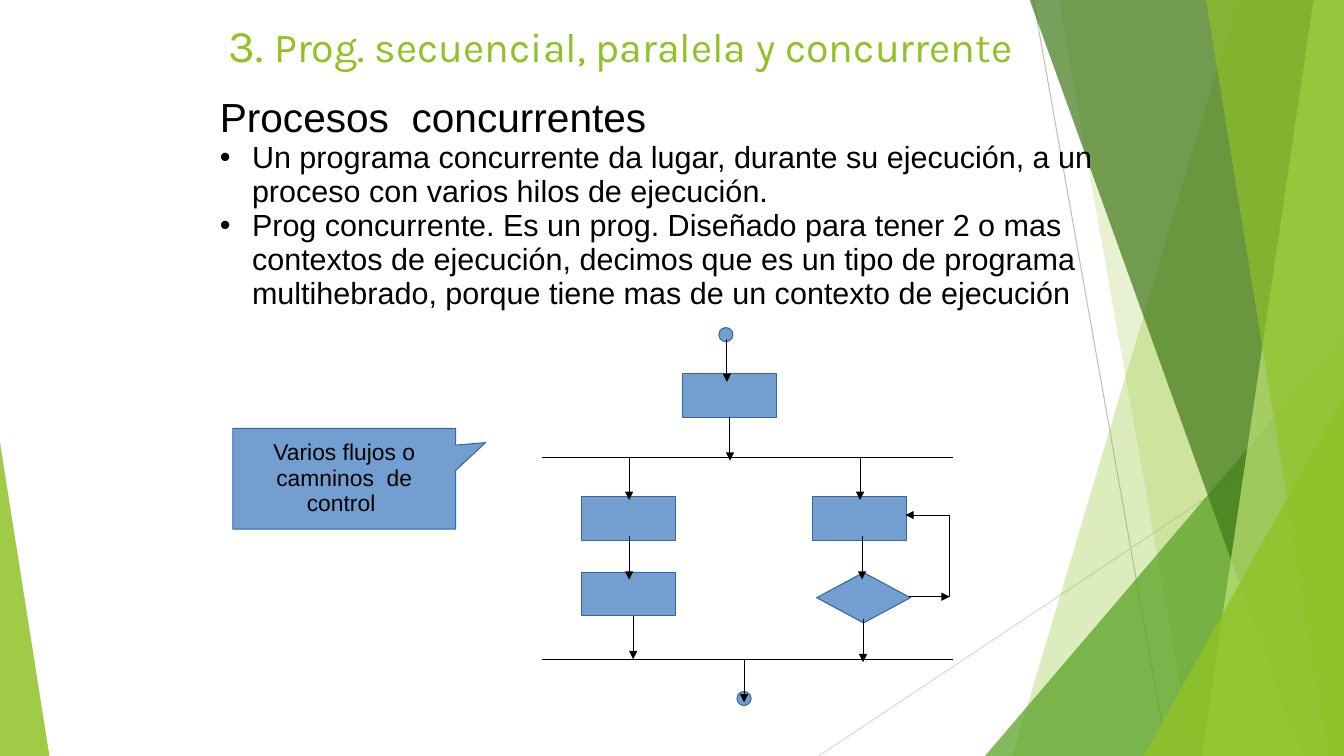
from lxml import etree
from pptx import Presentation
from pptx.dml.color import RGBColor
from pptx.enum.shapes import MSO_CONNECTOR, MSO_SHAPE
from pptx.enum.text import MSO_ANCHOR, PP_ALIGN
from pptx.oxml.ns import qn
from pptx.util import Inches, Pt

COLORS = {
    "lime": "90C226", "green": "54A021", "forest": "3F7819", "pale": "C0E474",
    "node": "729FCF", "node_edge": "3465A4", "black": "000000",
    "gray": "BFBFBF", "light_gray": "D9D9D9",
}
RIGHT, BOTTOM = 13.33, 7.5
NODE_W, NODE_H = 0.93, 0.43
DOT = 0.14
STEP = 0.43


def rgb(color):
    return RGBColor.from_string(COLORS[color])


def paint(shape, color, opacity=100, edge=None):
    shape.shadow.inherit = False
    shape.fill.solid()
    shape.fill.fore_color.rgb = rgb(color)
    if opacity < 100:
        tint = shape.fill._xPr.find(qn("a:solidFill"))[0]
        etree.SubElement(tint, qn("a:alpha"), val=str(opacity * 1000))
    if edge:
        shape.line.color.rgb = rgb(edge)
        shape.line.width = Pt(0.74)
    else:
        shape.line.fill.background()


def add_node(slide, kind, left, top, width=NODE_W, height=NODE_H):
    node = slide.shapes.add_shape(
        kind, Inches(left), Inches(top), Inches(width), Inches(height))
    paint(node, "node", edge="node_edge")
    return node


def add_line(slide, start, end, color="black", width=0.74, arrow=False):
    x1, y1, x2, y2 = (Inches(v) for v in (*start, *end))
    line = slide.shapes.add_connector(MSO_CONNECTOR.STRAIGHT, x1, y1, x2, y2)
    line.line.color.rgb = rgb(color)
    line.line.width = Pt(width)
    if arrow:
        etree.SubElement(line.line._get_or_add_ln(), qn("a:tailEnd"), type="triangle")
    etree.SubElement(line._element.spPr, qn("a:effectLst"))


def add_band(slide, top_x, bottom_x, color, opacity):
    """Slanted band that reaches the right edge of the slide."""
    outline = slide.shapes.build_freeform(Inches(top_x), Inches(-0.01))
    corners = [(RIGHT, -0.01), (RIGHT, BOTTOM), (bottom_x, BOTTOM)]
    outline.add_line_segments([(Inches(x), Inches(y)) for x, y in corners])
    paint(outline.convert_to_shape(), color, opacity)


def add_corner(slide, left, top, width, apex, color, opacity):
    """Triangle standing on the bottom edge of the slide."""
    corner = slide.shapes.add_shape(
        MSO_SHAPE.ISOSCELES_TRIANGLE, Inches(left), Inches(top),
        Inches(width), Inches(BOTTOM - top))
    corner.adjustments[0] = apex
    paint(corner, color, opacity)


def add_text(slide, left, top, width, height):
    frame = slide.shapes.add_textbox(
        Inches(left), Inches(top), Inches(width), Inches(height)).text_frame
    frame.word_wrap = True
    return frame


def set_margins(frame, side, edge):
    frame.margin_left = frame.margin_right = Inches(side)
    frame.margin_top = frame.margin_bottom = Inches(edge)


def style_run(run, size, font="Arial", color="black"):
    run.font.size = Pt(size)
    run.font.name = font
    run.font.color.rgb = rgb(color)


def set_indent(paragraph, margin, indent, bullet=False):
    props = paragraph._p.get_or_add_pPr()
    props.set("marL", str(Inches(margin)))
    props.set("indent", str(Inches(indent)))
    if bullet:
        etree.SubElement(props, qn("a:buFont"), typeface="Arial")
        etree.SubElement(props, qn("a:buChar"), char="•")


def add_backdrop(slide):
    add_line(slide, (10.25, 0), (11.58, BOTTOM), "gray", 0.75)
    add_line(slide, (RIGHT, 4.03), (8.12, BOTTOM), "light_gray", 0.75)
    add_band(slide, 12.28, 10.04, "lime", 30)
    add_band(slide, 10.5, 11.83, "lime", 20)
    add_corner(slide, 9.77, 3.33, 3.56, 1, "green", 72)
    add_band(slide, 10.21, 12.91, "forest", 70)
    add_band(slide, 13.03, 11.92, "pale", 70)
    add_band(slide, 11.96, 13.18, "lime", 65)
    add_corner(slide, 11.34, 3.93, 1.99, 1, "lime", 80)
    add_corner(slide, 0, 4.39, 0.49, 0, "lime", 85)


def add_title(slide):
    title = add_text(slide, 2.17, 0.12, 8.99, 0.81).paragraphs[0]
    for words, size in [("3. ", 32.4),
                        ("Prog. secuencial, paralela y concurrente", 29.4)]:
        run = title.add_run()
        run.text = words
        style_run(run, size, "Karla", "lime")


def add_explanation(slide):
    frame = add_text(slide, 2.17, 0.97, 9, 2.1)
    set_margins(frame, 0, 0)
    frame.vertical_anchor = MSO_ANCHOR.MIDDLE
    frame.text = "\n".join([
        "Procesos  concurrentes",
        "Un programa concurrente da lugar, durante su ejecución, a un proceso "
        "con varios hilos de ejecución.",
        "Prog concurrente. Es un prog. Diseñado para tener 2 o mas contextos de "
        "ejecución, decimos que es un tipo de programa multihebrado, porque "
        "tiene mas de un contexto de ejecución",
    ])
    heading, *points = frame.paragraphs
    for paragraph in frame.paragraphs:
        paragraph.line_spacing = 0.93
    set_indent(heading, 0.37, -0.36)
    style_run(heading.runs[0], 29)
    for point in points:
        set_indent(point, 0.33, -0.32, bullet=True)
        style_run(point.runs[0], 21.8)


def add_flowchart(slide):
    # Steps, decision, start and end
    for left, top in [(6.77, 3.71), (5.77, 4.93), (5.77, 5.68), (8.06, 4.93)]:
        add_node(slide, MSO_SHAPE.RECTANGLE, left, top)
    add_node(slide, MSO_SHAPE.DIAMOND, 8.1, 5.68, height=0.5)
    for left, top in [(7.13, 3.25), (7.31, 6.86)]:
        add_node(slide, MSO_SHAPE.OVAL, left, top, DOT, DOT)
    # Fork and join bars
    for y in (4.54, 6.54):
        add_line(slide, (5.38, y), (9.45, y))
    # Downward flow
    for x, y in [(7.21, 3.36), (7.24, 4.14), (6.24, 4.53), (8.53, 4.53),
                 (6.24, 5.32), (8.55, 5.32), (6.28, 6.11), (8.56, 6.14),
                 (7.38, 6.54)]:
        add_line(slide, (x, y), (x, y + STEP), arrow=True)
    # Loop back from the decision
    add_line(slide, (9.02, 5.92), (9.42, 5.92), arrow=True)
    add_line(slide, (9.42, 5.92), (9.42, 5.11))
    add_line(slide, (9.42, 5.11), (8.98, 5.11), arrow=True)


def add_callout(slide):
    callout = add_node(slide, MSO_SHAPE.RECTANGULAR_CALLOUT, 2.31, 4.25, 2.21, 1)
    callout.adjustments[0], callout.adjustments[1] = 0.634, -0.358
    frame = callout.text_frame
    set_margins(frame, 0.09, 0.04)
    frame.word_wrap = False
    frame.vertical_anchor = MSO_ANCHOR.MIDDLE
    frame.text = "Varios flujos o\ncamninos  de\ncontrol "
    for paragraph in frame.paragraphs:
        paragraph.alignment = PP_ALIGN.CENTER
        paragraph.line_spacing = 0.93
        style_run(paragraph.runs[0], 16.3)


def main():
    deck = Presentation()
    deck.slide_width, deck.slide_height = Inches(RIGHT), Inches(BOTTOM)
    slide = deck.slides.add_slide(deck.slide_layouts[6])
    add_backdrop(slide)
    add_title(slide)
    add_explanation(slide)
    add_flowchart(slide)
    add_callout(slide)
    deck.save("out.pptx")


main()
